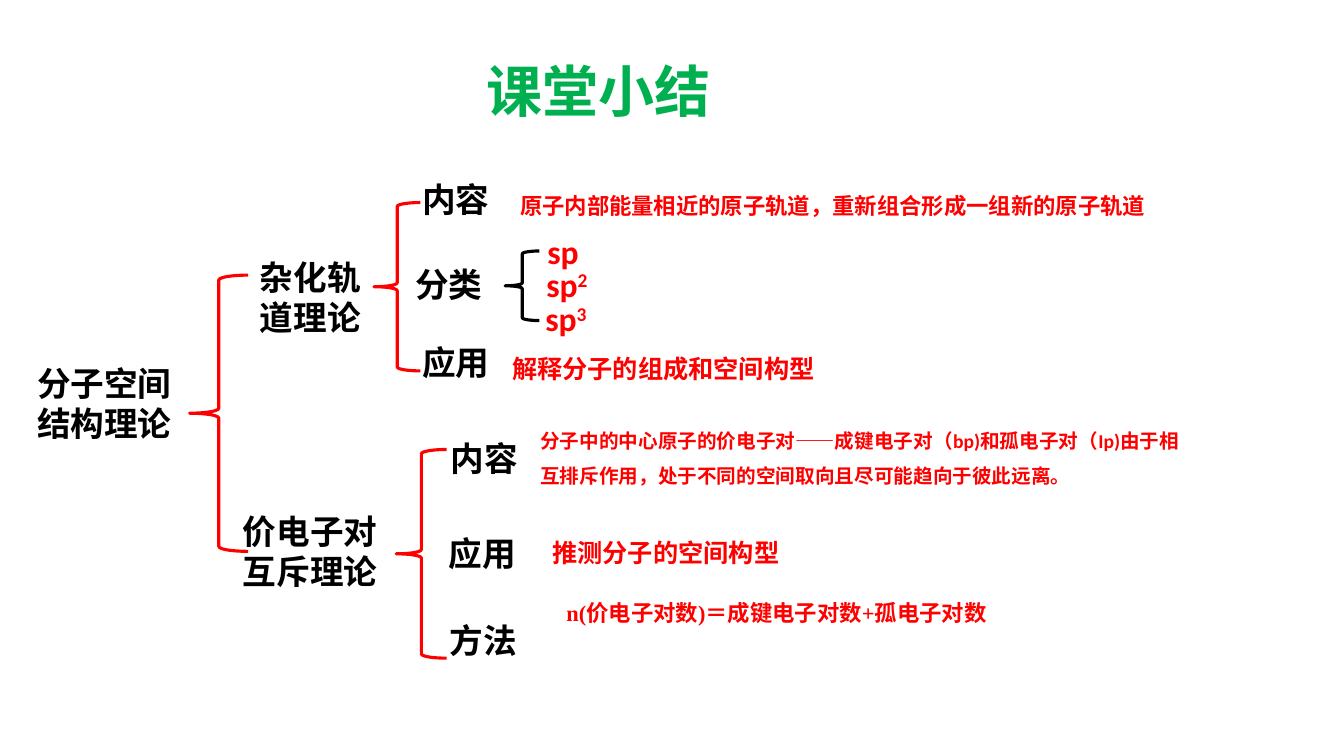
from lxml.etree import SubElement
from pptx import Presentation
from pptx.dml.color import RGBColor
from pptx.enum.shapes import MSO_SHAPE as Shape
from pptx.enum.text import MSO_ANCHOR as Anchor, MSO_AUTO_SIZE as AutoSize, PP_ALIGN as Align
from pptx.oxml.ns import qn
from pptx.util import Inches, Pt

BLACK = RGBColor(0x00, 0x00, 0x00)
RED = RGBColor(0xFF, 0x00, 0x00)
GREEN = RGBColor(0x00, 0xB0, 0x50)
CHINESE_FONT = "Noto Sans CJK SC"

TITLE = "课堂小结"

# text, (left, top, width, height)
THEORIES = [
    ("分子空间结构理论", (0.27, 3.55, 1.79, 0.91)),
    ("杂化轨道理论", (2.48, 2.5, 1.25, 0.91)),
    ("价电子对互斥理论", (2.31, 5.02, 1.81, 0.91)),
]

# text, left, top
TOPICS = [
    ("内容", 4.09, 1.73),
    ("分类", 4.02, 2.57),
    ("应用", 4.09, 3.34),
    ("内容", 4.37, 4.3),
    ("应用", 4.35, 5.24),
    ("方法", 4.36, 6.1),
]
TOPIC_SIZE = (0.88, 0.5)

# base, superscript, left, top
HYBRIDS = [
    ("sp", "", 5.33, 2.24),
    ("sp", "2", 5.32, 2.57),
    ("sp", "3", 5.31, 2.91),
]
HYBRID_SIZE = (0.63, 0.5)

# text, (left, top, width, height), format
DETAILS = [
    ("原子内部能量相近的原子轨道，重新组合形成一组新的原子轨道",
     (5.06, 1.72, 7.33, 0.46), dict(size=16, font=CHINESE_FONT)),
    ("解释分子的组成和空间构型", (4.98, 3.31, 3.65, 0.56), dict(size=18)),
    ("分子中的中心原子的价电子对——成键电子对（bp)和孤电子对（Ip)由于"
     "相互排斥作用，处于不同的空间取向且尽可能趋向于彼此远离。",
     (5.26, 4.09, 6.69, 0.77), dict(size=14)),
    ("推测分子的空间构型", (5.38, 5.13, 3.65, 0.56), dict(size=18)),
    ("n(价电子对数)＝成键电子对数+孤电子对数", (5.52, 5.93, 4.62, 0.34),
     dict(size=16, font="Times New Roman", line_spacing=0.9, space_before=3)),
]

# (left, top, width, height), colour
BRACES = [
    ((1.88, 2.73, 0.58, 2.74), RED),
    ((3.71, 2.01, 0.46, 1.67), RED),
    ((3.93, 4.46, 0.5, 2.07), RED),
    ((5.01, 2.49, 0.34, 0.69), BLACK),
]


def write_text(shape, text, superscript="", size=24, font="Calibri", colour=BLACK,
               wrap=True, align=Align.LEFT, line_spacing=1.0, space_before=0):
    frame = shape.text_frame
    frame.auto_size = AutoSize.NONE
    frame.word_wrap = wrap
    paragraph = frame.paragraphs[0]
    paragraph.alignment = align
    paragraph.line_spacing = line_spacing
    paragraph.space_before = Pt(space_before)
    for content, baseline in ((text, None), (superscript, "30000")):
        if not content:
            continue
        run = paragraph.add_run()
        run.text = content
        run.font.size = Pt(size)
        run.font.bold = True
        run.font.name = font
        run.font.color.rgb = colour
        properties = run.font._element
        SubElement(properties, qn("a:ea")).set("typeface", CHINESE_FONT)
        if baseline:
            properties.set("baseline", baseline)


def add_label(slide, box, text, **text_format):
    label = slide.shapes.add_textbox(*map(Inches, box))
    write_text(label, text, **text_format)


def add_brace(slide, box, colour):
    brace = slide.shapes.add_shape(Shape.LEFT_BRACE, *map(Inches, box))
    brace.shadow.inherit = False
    brace.fill.background()
    brace.line.color.rgb = colour
    brace.line.width = Pt(2.25)


def main():
    presentation = Presentation()
    presentation.slide_width = Inches(13.33)
    presentation.slide_height = Inches(7.5)
    slide = presentation.slides.add_slide(presentation.slide_layouts.get_by_name("Title Only"))

    title = slide.shapes.title
    title.left, title.top, title.width, title.height = map(Inches, (4.71, 0.51, 2.45, 0.77))
    title.text_frame.vertical_anchor = Anchor.TOP
    write_text(title, TITLE, size=40, colour=GREEN, wrap=False, align=Align.CENTER)

    for box, colour in BRACES:
        add_brace(slide, box, colour)
    for text, box in THEORIES:
        add_label(slide, box, text)
    for text, left, top in TOPICS:
        add_label(slide, (left, top, *TOPIC_SIZE), text, wrap=False)
    for base, superscript, left, top in HYBRIDS:
        add_label(slide, (left, top, *HYBRID_SIZE), base, superscript=superscript,
                  colour=RED, wrap=False)
    for text, box, text_format in DETAILS:
        add_label(slide, box, text, **{"colour": RED, "line_spacing": 1.5, **text_format})

    presentation.save("out.pptx")


if __name__ == "__main__":
    main()
